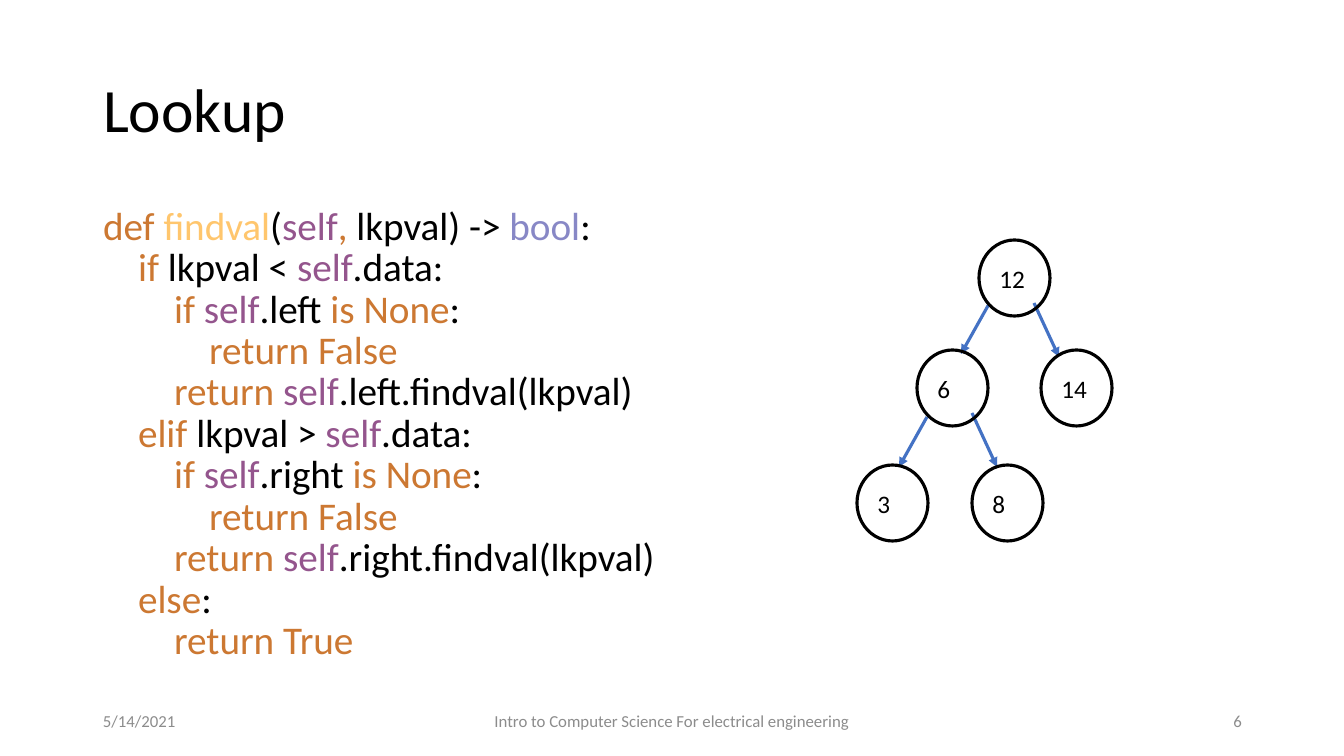
from lxml import etree
from pptx import Presentation
from pptx.dml.color import RGBColor
from pptx.enum.shapes import MSO_CONNECTOR, MSO_SHAPE
from pptx.enum.text import MSO_ANCHOR, MSO_AUTO_SIZE, PP_ALIGN
from pptx.oxml.ns import qn
from pptx.util import Emu, Pt

FONT = "Calibri"
BLACK, GREY, BLUE = "000000", "8C8C8C", "4472C4"
KEYWORD, FUNCTION, SELF, BUILTIN = "CC7832", "FFC66D", "94558D", "8888C6"

CODE = [
    (0, [("def ", KEYWORD), ("findval", FUNCTION), ("(", BLACK), ("self", SELF),
         (", ", KEYWORD), ("lkpval) -> ", BLACK), ("bool", BUILTIN), (":", BLACK)]),
    (1, [("if ", KEYWORD), ("lkpval < ", BLACK), ("self", SELF), (".data:", BLACK)]),
    (2, [("if ", KEYWORD), ("self", SELF), (".left ", BLACK), ("is None", KEYWORD), (":", BLACK)]),
    (3, [("return False", KEYWORD)]),
    (2, [("return ", KEYWORD), ("self", SELF), (".left.findval(lkpval)", BLACK)]),
    (1, [("elif ", KEYWORD), ("lkpval > ", BLACK), ("self", SELF), (".data:", BLACK)]),
    (2, [("if ", KEYWORD), ("self", SELF), (".right ", BLACK), ("is None", KEYWORD), (":", BLACK)]),
    (3, [("return False", KEYWORD)]),
    (2, [("return ", KEYWORD), ("self", SELF), (".right.findval(lkpval)", BLACK)]),
    (1, [("else", KEYWORD), (":", BLACK)]),
    (2, [("return True", KEYWORD)]),
]
NODES = [("12", 979, 240), ("6", 917, 350), ("14", 1041, 350), ("3", 857, 465), ("8", 972, 465)]
EDGES = [
    (989, 304, 961, 354),
    (1034, 303, 1059, 357),
    (927, 417, 899, 467),
    (972, 413, 997, 467),
]
FOOTERS = [
    ("5/14/2021", 93, 302, PP_ALIGN.LEFT),
    ("Intro to Computer Science For electrical engineering", 445, 454, PP_ALIGN.CENTER),
    ("6", 950, 302, PP_ALIGN.RIGHT),
]


def px(n):
    return Emu(round(n * 914400 / 100.8))


def rgb(color):
    return RGBColor.from_string(color)


def place(sp, x, y, w, h):
    sp.left, sp.top, sp.width, sp.height = px(x), px(y), px(w), px(h)


def add_run(p, text, size, color):
    r = p.add_run()
    r.text = text
    r.font.name = FONT
    r.font.size = Pt(size)
    r.font.color.rgb = rgb(color)


def set_frame(sp, anchor):
    tf = sp.text_frame
    tf.word_wrap = True
    tf.auto_size = MSO_AUTO_SIZE.NONE
    tf.vertical_anchor = anchor
    return tf


def add_line(sp, text, size, color, align):
    p = set_frame(sp, MSO_ANCHOR.MIDDLE).paragraphs[0]
    p.alignment = align
    add_run(p, text, size, color)
    return p


def add_title(s, text):
    sp = s.shapes.title
    place(sp, 93, 40, 1159, 146)
    add_line(sp, text, 44, BLACK, PP_ALIGN.LEFT).line_spacing = 0.9


def add_code(s, lines):
    sp = s.placeholders[1]
    place(sp, 93, 202, 701, 480)
    tf = set_frame(sp, MSO_ANCHOR.TOP)
    for i, (level, runs) in enumerate(lines):
        p = tf.add_paragraph() if i else tf.paragraphs[0]
        p.alignment = PP_ALIGN.LEFT
        p.line_spacing = 0.88
        p.space_before = Pt(0)
        pPr = p._p.get_or_add_pPr()
        pPr.set("marL", str(px(71 * level // 2)))
        pPr.set("indent", "0")
        etree.SubElement(pPr, qn("a:buNone"))
        for text, color in runs:
            add_run(p, text, 28, color)


def add_footer(s, text, x, w, align):
    sp = s.shapes.add_textbox(px(x), px(701), px(w), px(40))
    add_line(sp, text, 12, GREY, align)


def add_edge(s, x1, y1, x2, y2):
    c = s.shapes.add_connector(MSO_CONNECTOR.STRAIGHT, px(x1), px(y1), px(x2), px(y2))
    c.line.color.rgb = rgb(BLUE)
    c.line.width = Pt(2.25)
    etree.SubElement(c.line._get_or_add_ln(), qn("a:tailEnd"), type="triangle")
    etree.SubElement(c._element.spPr, qn("a:effectLst"))


def add_node(s, text, x, y):
    sp = s.shapes.add_shape(MSO_SHAPE.OVAL, px(x), px(y), px(71), px(76))
    sp.shadow.inherit = False
    sp.fill.background()
    sp.line.color.rgb = rgb(BLACK)
    sp.line.width = Pt(2.25)
    add_line(sp, text, 18, BLACK, PP_ALIGN.LEFT)


def main():
    prs = Presentation()
    prs.slide_width, prs.slide_height = px(1344), px(756)
    s = prs.slides.add_slide(prs.slide_layouts[1])
    add_title(s, "Lookup")
    add_code(s, CODE)
    for footer in FOOTERS:
        add_footer(s, *footer)
    for edge in EDGES:
        add_edge(s, *edge)
    for node in NODES:
        add_node(s, *node)
    prs.save("out.pptx")


if __name__ == "__main__":
    main()
